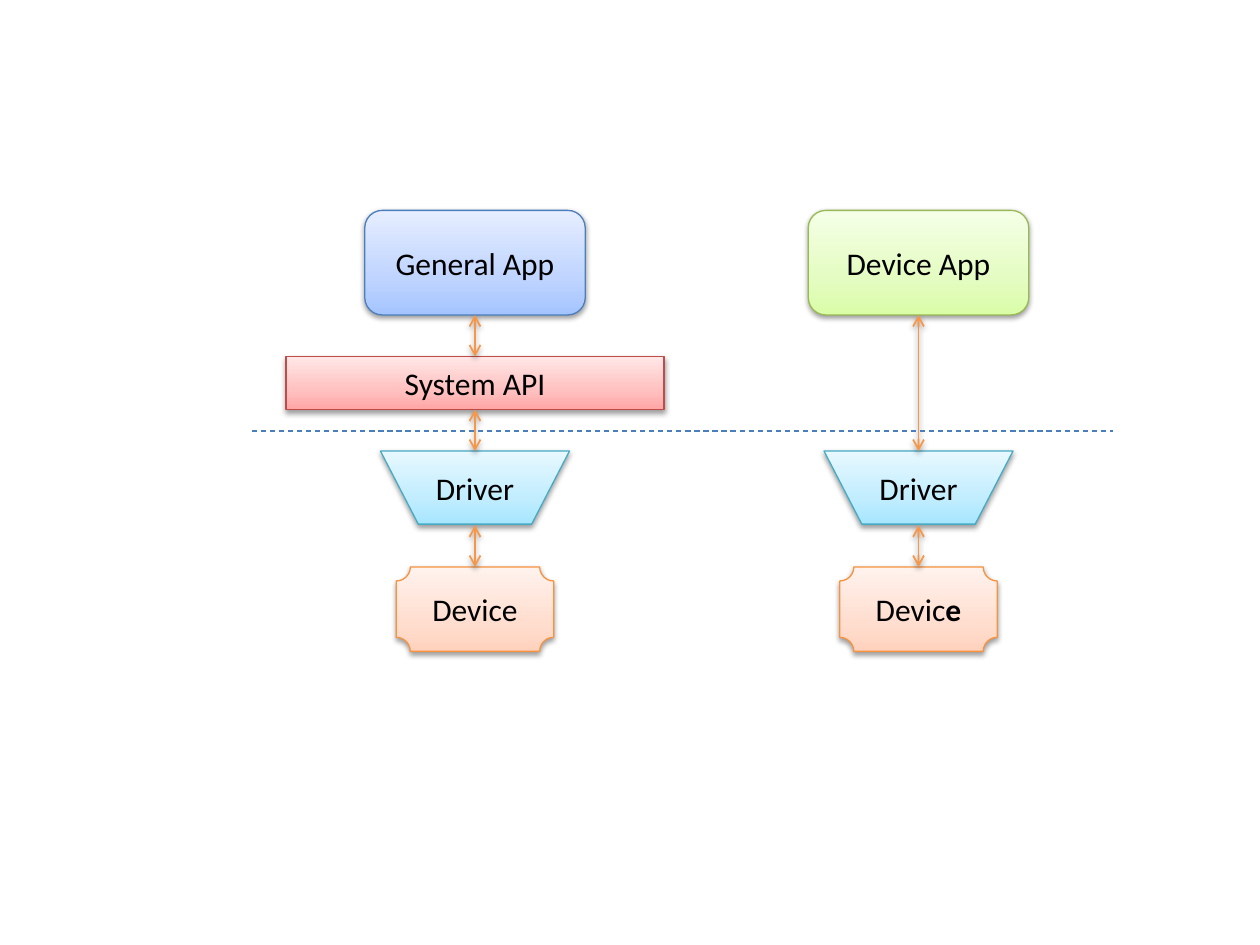
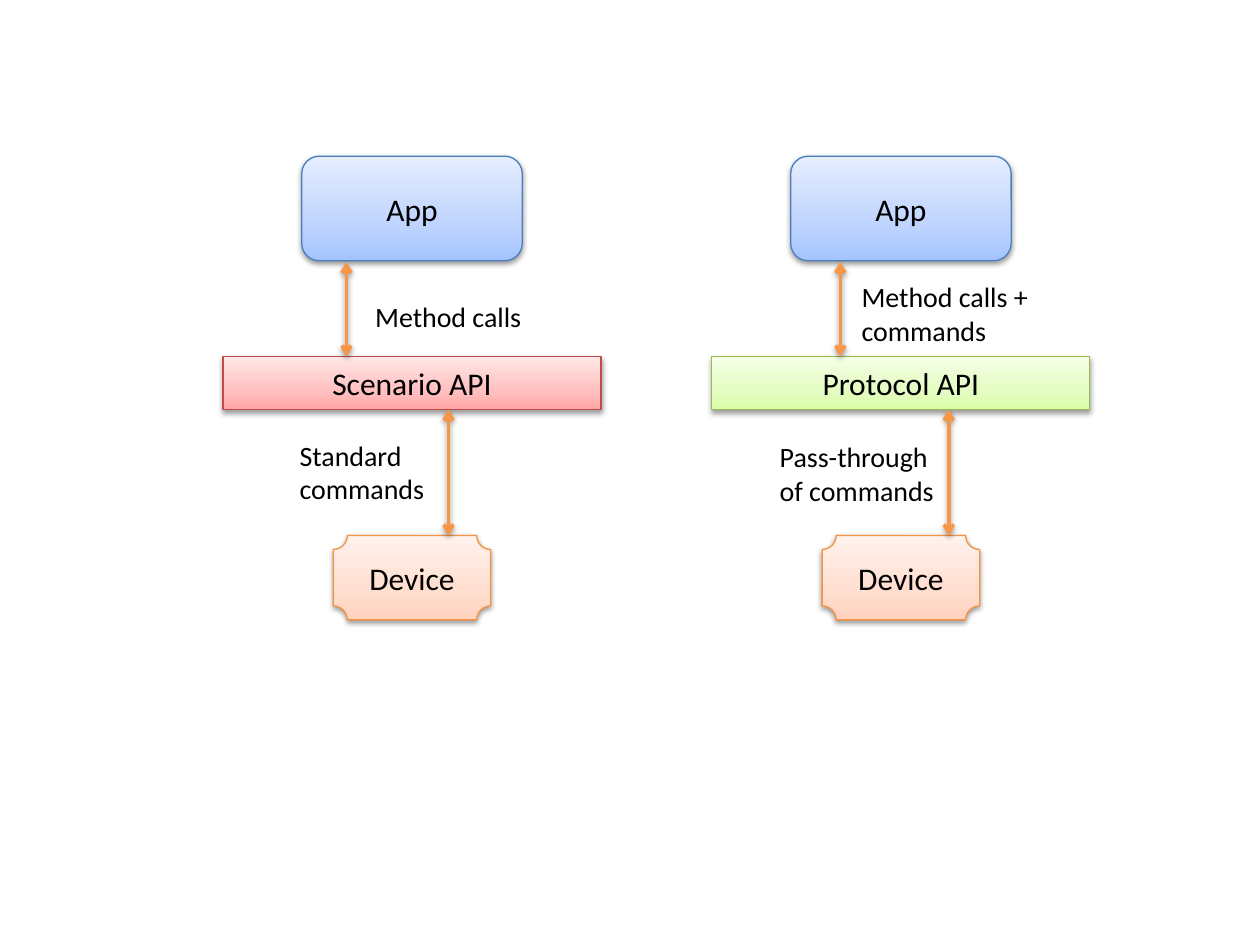
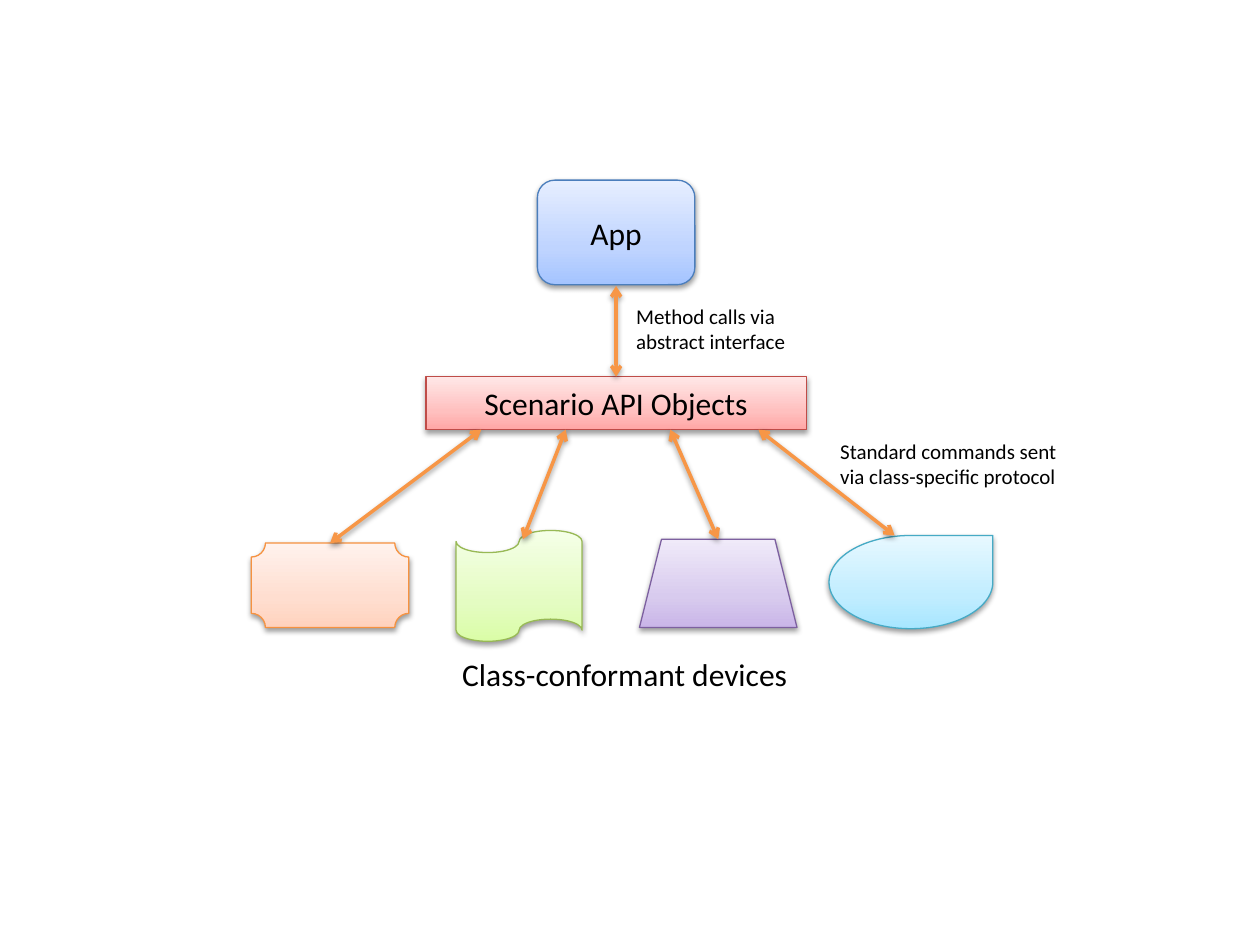
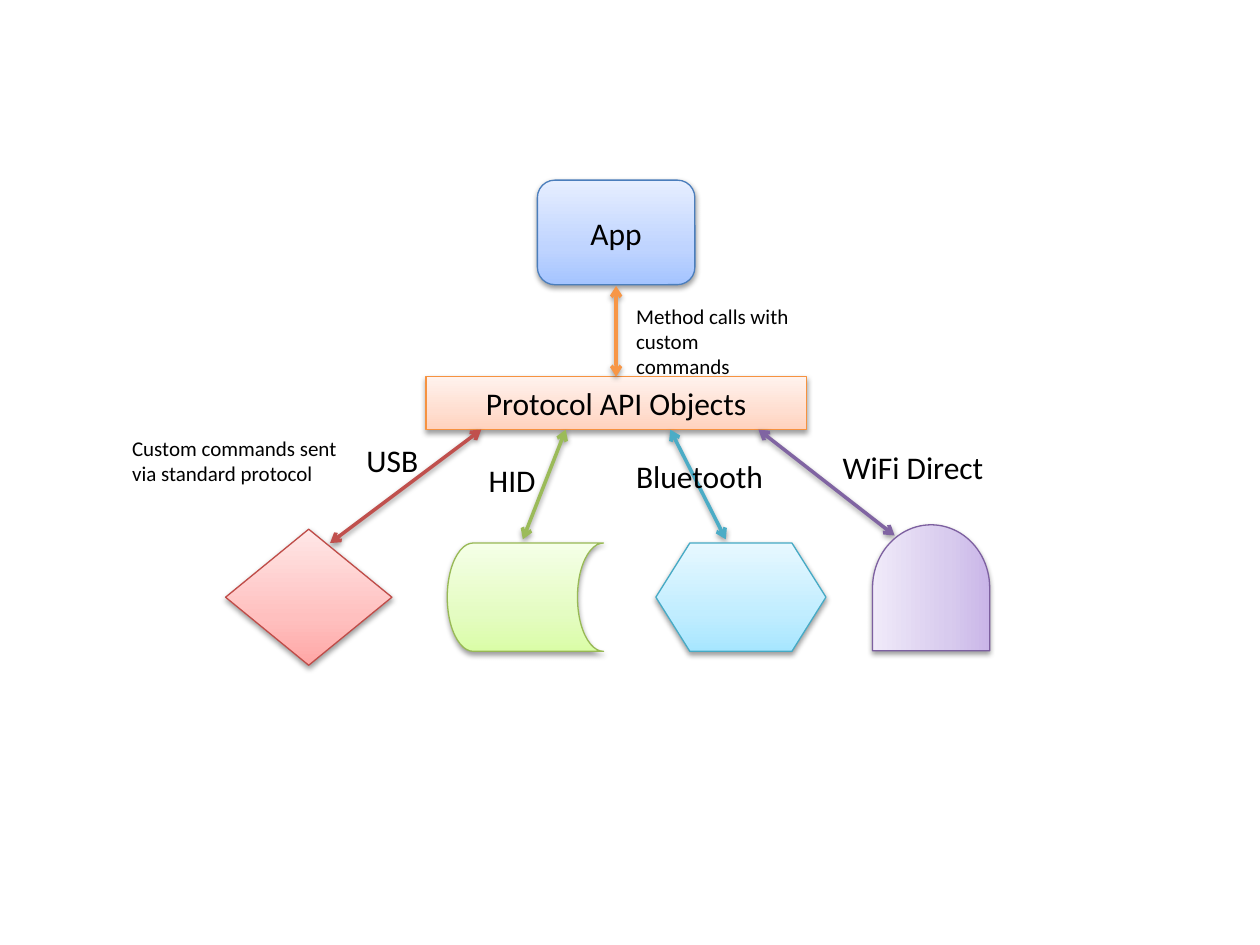
from copy import deepcopy

from pptx import Presentation
from pptx.dml.color import RGBColor
from pptx.enum.dml import MSO_LINE
from pptx.enum.shapes import MSO_CONNECTOR, MSO_SHAPE as Geo
from pptx.enum.text import MSO_ANCHOR, MSO_AUTO_SIZE, PP_ALIGN
from pptx.oxml import parse_xml
from pptx.oxml.ns import nsdecls, qn
from pptx.util import Inches, Pt

FONT = "Calibri"
BLACK = "000000"

# Each theme: gradient from bottom to top, outline, arrow
THEMES = {
    "blue": (("A4C4FF", "BFD4FF", "E6EEFF"), "4B7EBC", "4F81BD"),
    "red": (("FFA6A5", "FFC0BF", "FFE7E7"), "BF4C48", "C0504D"),
    "green": (("DAFDA7", "E4FCC2", "F5FFE7"), "98B955", "9BBB59"),
    "purple": (("C9B5E8", "D8CBEE", "F0EAF9"), "7D60A0", "8064A2"),
    "aqua": (("A7E6FF", "C1EDFF", "E7F8FF"), "46AAC5", "4BACC6"),
    "orange": (("FFD2BD", "FFDED0", "FFF2ED"), "F69240", "F79646"),
}
STOPS = (0, 0.35, 1)

SHADOW = (
    f'<a:effectLst {nsdecls("a")}>'
    '<a:outerShdw blurRad="40000" dist="20000" dir="5400000" rotWithShape="0">'
    '<a:srgbClr val="000000"><a:alpha val="38000"/></a:srgbClr>'
    "</a:outerShdw></a:effectLst>"
)
NO_EFFECT = f'<a:effectLst {nsdecls("a")}/>'


def rgb(value):
    return RGBColor.from_string(value)


def set_line(shape, color, width):
    shape.line.color.rgb = rgb(color)
    shape.line.width = Pt(width)


def set_effect(shape, xml):
    """Call after fill and line, since effects come last in spPr."""
    shape._element.spPr.append(parse_xml(xml))


def set_gradient(shape, colors):
    fill = shape.fill
    fill.gradient()
    fill.gradient_angle = 90
    gs_list = shape._element.spPr.find(".//" + qn("a:gsLst"))
    gs_list.append(deepcopy(gs_list[0]))
    for stop, position, color in zip(fill.gradient_stops, STOPS, colors):
        stop.position = position
        stop.color.rgb = rgb(color)


def write(tf, text, size):
    p = tf.paragraphs[0]
    p.text = text
    for r in p.runs:
        r.font.name = FONT
        r.font.size = Pt(size)
        r.font.color.rgb = rgb(BLACK)
    return p


def add_node(s, geo, theme, cx, top, width, height, text="", rotation=0):
    """A gradient shape, centred on cx."""
    sp = s.shapes.add_shape(geo, Inches(cx - width / 2), Inches(top),
                            Inches(width), Inches(height))
    sp.rotation = rotation
    colors, outline, _ = THEMES[theme]
    set_gradient(sp, colors)
    set_line(sp, outline, 0.75)
    set_effect(sp, SHADOW)
    if text:
        sp.text_frame.vertical_anchor = MSO_ANCHOR.MIDDLE
        write(sp.text_frame, text, 18).alignment = PP_ALIGN.CENTER
    return sp


def add_app(s, cx, top, text="App", theme="blue", width=1.75):
    add_node(s, Geo.ROUNDED_RECTANGLE, theme, cx, top, width, 0.83, text)


def add_bar(s, theme, cx, top, text, width=3):
    add_node(s, Geo.RECTANGLE, theme, cx, top, width, 0.42, text)


def add_device(s, cx, top, text="Device"):
    return add_node(s, Geo.PLAQUE, "orange", cx, top, 1.25, 0.67, text)


def add_line(s, x1, y1, x2, y2):
    return s.shapes.add_connector(MSO_CONNECTOR.STRAIGHT, Inches(x1),
                                  Inches(y1), Inches(x2), Inches(y2))


def add_arrow(s, x1, y1, x2, y2, theme="orange", width=2):
    """A shadowed line with an arrowhead at both ends."""
    line = add_line(s, x1, y1, x2, y2)
    set_line(line, THEMES[theme][2], width)
    ln = line._element.spPr.find(qn("a:ln"))
    for end in ("headEnd", "tailEnd"):
        ln.append(parse_xml(f'<a:{end} {nsdecls("a")} type="arrow"/>'))
    set_effect(line, SHADOW)


def add_label(s, left, top, width, height, text, size, wrap=False):
    box = s.shapes.add_textbox(Inches(left), Inches(top),
                               Inches(width), Inches(height))
    tf = box.text_frame
    tf.word_wrap = wrap
    tf.auto_size = MSO_AUTO_SIZE.SHAPE_TO_FIT_TEXT
    write(tf, text, size)


def add_blank(prs):
    return prs.slides.add_slide(prs.slide_layouts[6])


def build_driver_stacks(prs):
    s = add_blank(prs)
    general, direct = 3.77, 7.29
    add_app(s, general, 1.67, "General App")
    add_app(s, direct, 1.67, "Device App", "green")
    add_bar(s, "red", general, 2.83, "System API")
    for cx in (general, direct):
        add_node(s, Geo.FLOWCHART_MANUAL_OPERATION, "aqua",
                 cx, 3.58, 1.5, 0.58, "Driver")
    add_device(s, general, 4.5)

    # The last letter of the right device is bold
    p = add_device(s, direct, 4.5, "Devic").text_frame.paragraphs[0]
    r = p.add_run()
    r.text = "e"
    r.font.name = FONT
    r.font.size = Pt(18)
    r.font.bold = True
    r.font.color.rgb = rgb(BLACK)

    for cx, y1, y2 in ((general, 2.5, 2.83), (general, 3.25, 3.58),
                       (general, 4.17, 4.5), (direct, 2.5, 3.58),
                       (direct, 4.17, 4.5)):
        add_arrow(s, cx, y1, cx, y2, width=1)

    # Boundary between apps and drivers
    boundary = add_line(s, 2, 3.42, 8.83, 3.42)
    set_line(boundary, THEMES["blue"][1], 0.75)
    boundary.line.dash_style = MSO_LINE.DASH
    set_effect(boundary, NO_EFFECT)


def build_api_comparison(prs):
    s = add_blank(prs)
    # Centre, bar colour, bar text, x of upper and lower arrow
    for cx, theme, api, upper, lower in (
            (3.27, "red", "Scenario API", 2.75, 3.56),
            (7.15, "green", "Protocol API", 6.67, 7.53)):
        add_device(s, cx, 4.25)
        add_app(s, cx, 1.24)
        add_bar(s, theme, cx, 2.83, api)
        add_arrow(s, upper, 2.08, upper, 2.83)
        add_arrow(s, lower, 3.25, lower, 4.25)
    for label in ((2.88, 2.33, 1.37, 0.37, "Method calls"),
                  (2.28, 3.43, 1.2, 0.64, "Standard\ncommands"),
                  (6.74, 2.17, 1.54, 0.64, "Method calls +\ncommands"),
                  (6.09, 3.44, 1.44, 0.64, "Pass-through\nof commands")):
        add_label(s, *label, 16)


def add_hub(s, theme, api, calls, spokes):
    """App over an API bar, with four arrows down to the devices."""
    cx, bar_bottom = 4.89, 3.41
    add_app(s, cx, 1.43, width=1.25)
    add_bar(s, theme, cx, 2.99, api, width=3.02)
    add_arrow(s, cx, 2.99, cx, 2.27)
    add_label(s, 4.95, 2.36, 1.45, 0.5, calls, 12)
    for top_x, (x, y, color) in zip((3.82, 4.49, 5.32, 6.02), spokes):
        add_arrow(s, x, y, top_x, bar_bottom, color)


def build_scenario_api(prs):
    s = add_blank(prs)
    add_device(s, 2.62, 4.31, "")
    add_node(s, Geo.FLOWCHART_PUNCHED_TAPE, "green", 4.12, 4.21, 1, 0.88)
    add_node(s, Geo.TRAPEZOID, "purple", 5.7, 4.28, 1.25, 0.7)
    add_node(s, Geo.TEAR, "aqua", 7.23, 4.25, 1.3, 0.74)
    add_hub(s, "red", "Scenario API Objects",
            "Method calls via\nabstract interface",
            ((2.62, 4.31, "orange"), (4.15, 4.28, "orange"),
             (5.7, 4.28, "orange"), (7.1, 4.25, "orange")))
    add_label(s, 6.57, 3.43, 1.93, 0.5,
              "Standard commands sent\nvia class-specific protocol", 12, True)
    add_label(s, 3.57, 5.15, 2.81, 0.4, "Class-conformant devices", 18)


def build_protocol_api(prs):
    s = add_blank(prs)
    add_hub(s, "orange", "Protocol API Objects",
            "Method calls with\ncustom commands",
            ((2.62, 4.31, "red"), (4.15, 4.28, "green"),
             (5.76, 4.28, "aqua"), (7.1, 4.25, "purple")))
    add_label(s, 0.95, 3.41, 1.9, 0.5,
              "Custom commands sent\nvia standard protocol", 12, True)
    add_node(s, Geo.DIAMOND, "red", 2.45, 4.2, 1.32, 1.08)
    add_node(s, Geo.FLOWCHART_PREPARATION, "aqua", 5.88, 4.31, 1.35, 0.86)
    for left, top, width, name in ((2.81, 3.45, 0.62, "USB"),
                                   (3.78, 3.61, 0.58, "HID"),
                                   (4.95, 3.58, 1.22, "Bluetooth"),
                                   (6.59, 3.51, 1.33, "WiFi Direct")):
        add_label(s, left, top, width, 0.4, name, 18)
    add_node(s, Geo.FLOWCHART_STORED_DATA, "green", 4.17, 4.31, 1.24, 0.86)
    add_node(s, Geo.FLOWCHART_DELAY, "purple", 7.39, 4.2, 1, 0.93,
             rotation=270)


def main():
    prs = Presentation()
    prs.slide_width, prs.slide_height = Inches(10), Inches(7.5)
    build_driver_stacks(prs)
    build_api_comparison(prs)
    build_scenario_api(prs)
    build_protocol_api(prs)
    prs.save("out.pptx")


main()
